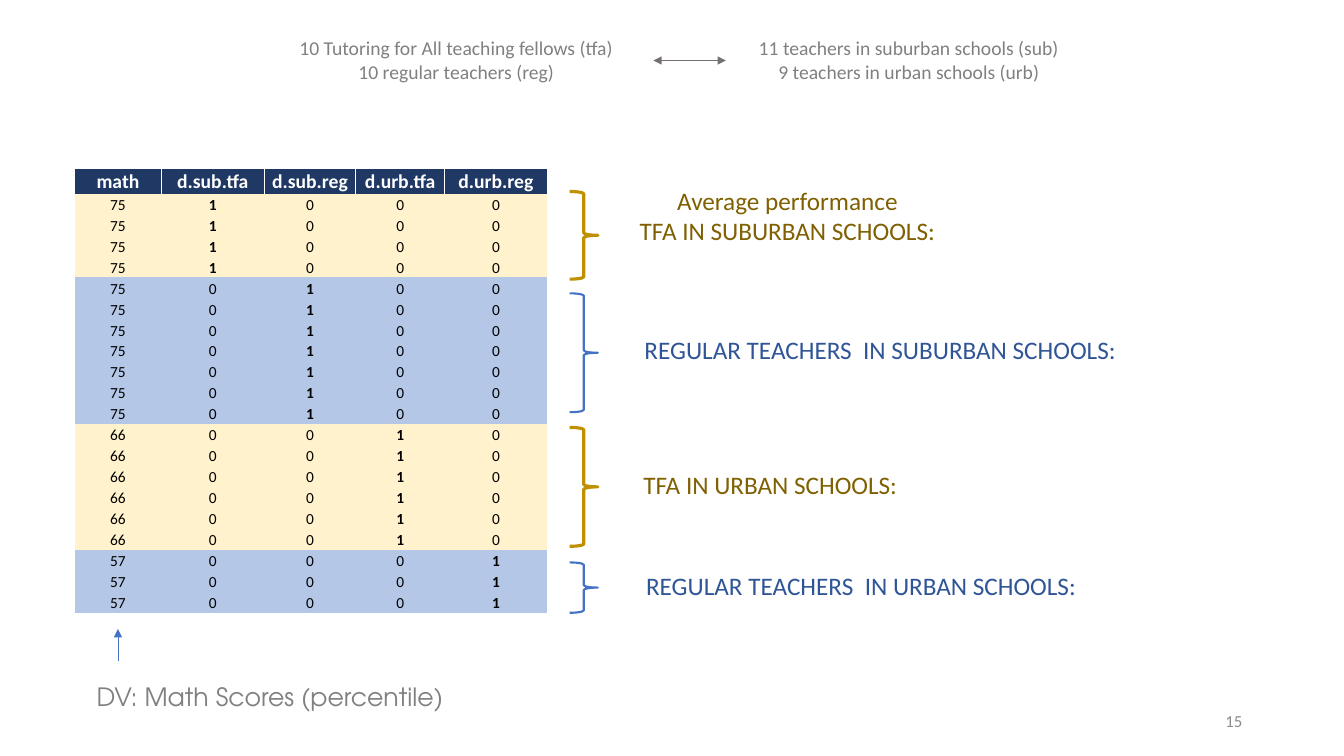
from dataclasses import dataclass

from lxml.etree import SubElement
from pptx import Presentation
from pptx.dml.color import RGBColor
from pptx.enum.shapes import MSO_CONNECTOR, MSO_SHAPE
from pptx.enum.text import MSO_ANCHOR, PP_ALIGN
from pptx.oxml import parse_xml
from pptx.oxml.ns import nsdecls, qn
from pptx.util import Inches, Pt


@dataclass
class Style:
    fill: str
    ink: str
    edge: str
    weight: float


@dataclass
class Label:
    text: str
    left: float
    top: float
    width: float
    height: float
    color: str
    size: int = 18
    font: str = "Calibri"
    align: PP_ALIGN = PP_ALIGN.CENTER


@dataclass
class Group:
    score: int
    count: int
    style: Style
    top: float
    height: float
    label: Label


@dataclass
class Arrow:
    start: tuple[float, float]
    end: tuple[float, float]
    color: str
    heads: tuple[str, ...]


GRAY = "808080"
NAVY = "203864"
WHITE = "FFFFFF"
NO_GRID = "{2D5ABB26-0587-4C30-8999-92F81FD0307C}"
GOLD = Style("FFF2CC", "806000", "BF9000", 2.25)
BLUE = Style("B4C7E7", "2F5597", "4472C4", 1.5)

HEADS = ["math", "d.sub.tfa", "d.sub.reg", "d.urb.tfa", "d.urb.reg"]
WIDTHS = [0.86, 1.02, 0.91, 0.88, 1.02]
GROUPS = [
    Group(75, 4, GOLD, 1.9, 0.87,
          Label("Average performance\nTFA IN SUBURBAN SCHOOLS:", 6.23, 1.78, 3.16, 0.71, GOLD.ink)),
    Group(75, 7, BLUE, 2.91, 1.18,
          Label("REGULAR TEACHERS  IN SUBURBAN SCHOOLS:", 6.27, 3.27, 4.92, 0.4, BLUE.ink)),
    Group(66, 6, GOLD, 4.24, 1.18,
          Label("TFA IN URBAN SCHOOLS:", 6.27, 4.61, 2.74, 0.4, GOLD.ink)),
    Group(57, 3, BLUE, 5.58, 0.5,
          Label("REGULAR TEACHERS  IN URBAN SCHOOLS:", 6.23, 5.61, 4.62, 0.4, BLUE.ink)),
]
NOTES = [
    Label("10 Tutoring for All teaching fellows (tfa)\n10 regular teachers (reg)",
          2.73, 0.31, 3.59, 0.57, GRAY, 14),
    Label("11 teachers in suburban schools (sub)\n9 teachers in urban schools (urb)",
          7.41, 0.31, 3.21, 0.57, GRAY, 14),
    Label("DV: Math Scores (percentile)", 0.86, 6.71, 3.84, 0.4, GRAY,
          font="TeX Gyre Adventor", align=PP_ALIGN.LEFT),
    Label("15", 9.42, 6.95, 3, 0.4, "8C8C8C", 12, align=PP_ALIGN.RIGHT),
]
ARROWS = [
    Arrow((1.17, 6.56), (1.17, 6.24), BLUE.edge, ("tailEnd",)),
    Arrow((6.48, 0.6), (7.2, 0.6), "767171", ("headEnd", "tailEnd")),
]

deck = Presentation()
deck.slide_width = Inches(13.33)
deck.slide_height = Inches(7.5)
slide = deck.slides.add_slide(deck.slide_layouts[6])


def paint(target, color: str) -> None:
    target.solid()
    target.fore_color.rgb = RGBColor.from_string(color)


def write(frame, text: str, size: int, color: str, align: PP_ALIGN,
          font: str = "Calibri", bold: bool = False) -> None:
    frame.text = text
    for para in frame.paragraphs:
        para.alignment = align
        para.font.name = font
        para.font.size = Pt(size)
        para.font.bold = bold
        paint(para.font.fill, color)


def add_label(label: Label) -> None:
    box = slide.shapes.add_textbox(
        Inches(label.left), Inches(label.top), Inches(label.width), Inches(label.height))
    frame = box.text_frame
    frame.word_wrap = False
    frame.vertical_anchor = MSO_ANCHOR.MIDDLE
    write(frame, label.text, label.size, label.color, label.align, label.font)


def add_brace(group: Group) -> None:
    brace = slide.shapes.add_shape(
        MSO_SHAPE.RIGHT_BRACE, Inches(5.65), Inches(group.top), Inches(0.28), Inches(group.height))
    brace.shadow.inherit = False
    brace.fill.background()
    paint(brace.line.fill, group.style.edge)
    brace.line.width = Pt(group.style.weight)


def add_arrow(arrow: Arrow) -> None:
    ends = [Inches(value) for value in arrow.start + arrow.end]
    line = slide.shapes.add_connector(MSO_CONNECTOR.STRAIGHT, *ends)
    paint(line.line.fill, arrow.color)
    line.line.width = Pt(0.5)
    for head in arrow.heads:
        SubElement(line.line._ln, qn(f"a:{head}"), type="triangle")
    SubElement(line._element.spPr, qn("a:effectLst"))


def fill_cell(cell, text: str, size: int, color: str, back: str, bold: bool) -> None:
    cell.margin_left = cell.margin_right = cell.margin_top = Inches(0.01)
    cell.margin_bottom = 0
    cell.vertical_anchor = MSO_ANCHOR.BOTTOM
    paint(cell.fill, back)
    write(cell.text_frame, text, size, color, PP_ALIGN.CENTER, bold=bold)


def add_border(cell) -> None:
    for spot, side in enumerate("LRT"):
        edge = parse_xml(
            f'<a:ln{side} {nsdecls("a")} w="{Pt(1)}"><a:solidFill>'
            f'<a:srgbClr val="{WHITE}"/></a:solidFill></a:ln{side}>')
        cell._tc.get_or_add_tcPr().insert(spot, edge)


def add_scores() -> None:
    count = sum(group.count for group in GROUPS)
    table = slide.shapes.add_table(
        count + 1, len(HEADS), Inches(0.74), Inches(1.67), Inches(4.69), Inches(4.41)).table
    table._tbl.tblPr.find(qn("a:tableStyleId")).text = NO_GRID
    table.first_row = table.horz_banding = False
    for column, width in zip(table.columns, WIDTHS):
        column.width = Inches(width)
    for row in table.rows:
        row.height = Inches(4.16 / count)
    table.rows[0].height = Inches(0.25)
    for col, head in enumerate(HEADS):
        fill_cell(table.cell(0, col), head, 14, WHITE, NAVY, True)
        add_border(table.cell(0, col))
    row = 0
    for dummy, group in enumerate(GROUPS, 1):
        for _ in range(group.count):
            row += 1
            for col in range(len(HEADS)):
                value = int(col == dummy) if col else group.score
                fill_cell(table.cell(row, col), str(value), 11, "000000",
                          group.style.fill, col == dummy)


add_scores()
for group in GROUPS:
    add_brace(group)
    add_label(group.label)
for note in NOTES:
    add_label(note)
for arrow in ARROWS:
    add_arrow(arrow)

deck.save("out.pptx")
